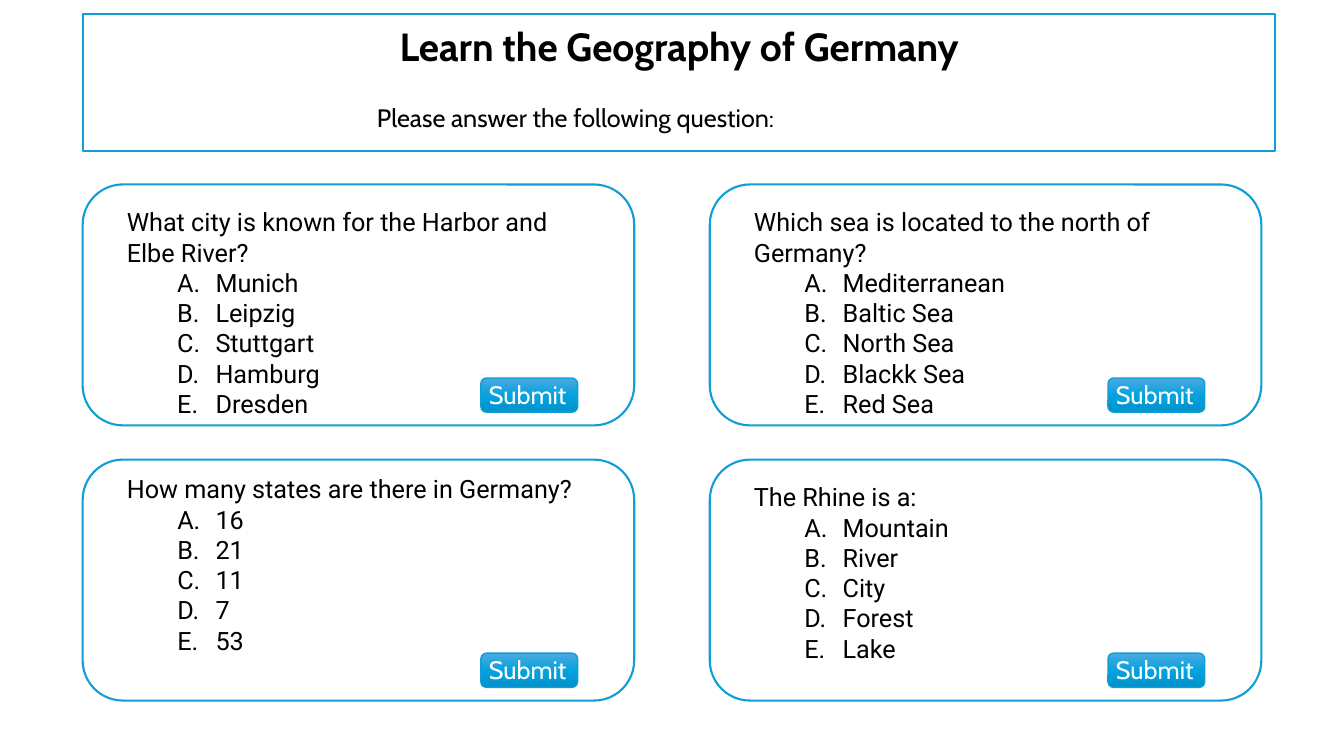
import copy
import dataclasses

import pptx
import pptx.dml.color
import pptx.enum.shapes
import pptx.enum.text
import pptx.oxml
import pptx.oxml.ns
import pptx.shapes.autoshape
import pptx.slide
import pptx.text.text
import pptx.util

RGBColor = pptx.dml.color.RGBColor
MSO_SHAPE = pptx.enum.shapes.MSO_SHAPE
BLACK = RGBColor(0x00, 0x00, 0x00)
WHITE = RGBColor(0xFF, 0xFF, 0xFF)
BLUE = RGBColor(0x0F, 0x9E, 0xD5)
BUTTON_STOPS = (
    (0.0, RGBColor(0x4C, 0xAA, 0xDF)),
    (0.5, RGBColor(0x05, 0xA2, 0xDF)),
    (1.0, RGBColor(0x00, 0x92, 0xCB)),
)
SLIDE_W = pptx.util.Inches(13.33)
SLIDE_H = pptx.util.Inches(7.5)


@dataclasses.dataclass(frozen=True)
class Box:
    """Position and size in percent of the slide's width and height."""

    x: float
    y: float
    w: float
    h: float

    def emu(self) -> tuple[int, int, int, int]:
        return (
            round(self.x * SLIDE_W / 100),
            round(self.y * SLIDE_H / 100),
            round(self.w * SLIDE_W / 100),
            round(self.h * SLIDE_H / 100),
        )

    def inside(self, card: "Box") -> "Box":
        return Box(card.x + self.x, card.y + self.y, self.w, self.h)


@dataclasses.dataclass(frozen=True)
class Question:
    col: int
    row: int
    text: str
    answers: tuple[str, ...]
    lines: int
    drop: float = 2.27
    width: float = 34.88


BANNER = Box(6.15, 1.87, 88.75, 18.13)
TITLE = Box(20.56, 2.27, 59.94, 11.73)
PROMPT = Box(27.31, 12.93, 45.84, 5.33)
CARD = Box(6.15, 24.4, 41.04, 31.87)
COL_STEP, ROW_STEP = 46.66, 36.4
BUTTON = Box(29.63, 25.6, 7.2, 4.53)
BUTTON_LABEL = Box(29.48, 25.07, 9, 5.33)

QUESTIONS = (
    Question(0, 0, "What city is known for the Harbor and Elbe River?",
             ("Munich", "Leipzig", "Stuttgart", "Hamburg", "Dresden"), 7),
    Question(0, 1, "How many states are there in Germany?",
             ("16", "21", "11", "7", "53"), 6, drop=1.2, width=35.93),
    Question(1, 0, "Which sea is located to the north of Germany?",
             ("Mediterranean", "Baltic Sea", "North Sea", "Blackk Sea", "Red Sea"), 8),
    Question(1, 1, "The Rhine is a:",
             ("Mountain", "River", "City", "Forest", "Lake"), 6),
)


def format_runs(p: pptx.text.text._Paragraph, font: str, color: RGBColor,
                size: int = 18, bold: bool = False) -> None:
    for r in p.runs:
        r.font.name = font
        r.font.size = pptx.util.Pt(size)
        r.font.bold = bold
        r.font.color.rgb = color


def add_panel(s: pptx.slide.Slide, kind: MSO_SHAPE, box: Box,
              weight: float = 1.5) -> pptx.shapes.autoshape.Shape:
    sp = s.shapes.add_shape(kind, *box.emu())
    sp.shadow.inherit = False
    sp.fill.solid()
    sp.fill.fore_color.rgb = WHITE
    sp.line.color.rgb = BLUE
    sp.line.width = pptx.util.Pt(weight)
    return sp


def add_text(s: pptx.slide.Slide, box: Box, text: str, font: str,
             color: RGBColor = BLACK) -> pptx.text.text.TextFrame:
    tf = s.shapes.add_textbox(*box.emu()).text_frame
    tf.word_wrap = True
    tf.text = text
    format_runs(tf.paragraphs[0], font, color)
    return tf


def add_answer(tf: pptx.text.text.TextFrame, answer: str) -> None:
    p = tf.add_paragraph()
    p.text = answer
    p.level = 1
    pPr = p._p.get_or_add_pPr()
    pPr.set("marL", str(pptx.util.Inches(0.88)))
    pPr.set("indent", str(pptx.util.Inches(-0.38)))
    bullet = pptx.oxml.parse_xml(
        f'<a:buAutoNum {pptx.oxml.ns.nsdecls("a")} type="alphaUcPeriod"/>')
    pPr.append(bullet)
    format_runs(p, "Roboto", BLACK)


def add_button(s: pptx.slide.Slide, card: Box) -> None:
    sp = add_panel(s, MSO_SHAPE.ROUNDED_RECTANGLE, BUTTON.inside(card), 1)
    sp.fill.gradient()
    sp.fill.gradient_angle = 270
    stops = sp.element.spPr.find(f'.//{pptx.oxml.ns.qn("a:gsLst")}')
    stops.append(copy.deepcopy(stops[-1]))
    for stop, (position, color) in zip(sp.fill.gradient_stops, BUTTON_STOPS):
        stop.position = position
        stop.color.rgb = color
    add_text(s, BUTTON_LABEL.inside(card), "Submit", "Cabin", WHITE)


def add_question(s: pptx.slide.Slide, q: Question) -> None:
    card = Box(CARD.x + q.col * COL_STEP, CARD.y + q.row * ROW_STEP, CARD.w, CARD.h)
    add_panel(s, MSO_SHAPE.ROUNDED_RECTANGLE, card)
    box = Box(2.55, q.drop, q.width, 1.6 + 4 * q.lines)
    tf = add_text(s, box.inside(card), q.text, "Roboto")
    for answer in q.answers:
        add_answer(tf, answer)
    add_button(s, card)


def add_header(s: pptx.slide.Slide) -> None:
    banner = add_panel(s, MSO_SHAPE.RECTANGLE, BANNER)
    title = s.shapes.title
    banner.element.addnext(title.element)
    title.left, title.top, title.width, title.height = TITLE.emu()
    tf = title.text_frame
    tf.text = "Learn the Geography of Germany"
    tf.word_wrap = True
    tf.auto_size = pptx.enum.text.MSO_AUTO_SIZE.NONE
    tf.vertical_anchor = pptx.enum.text.MSO_ANCHOR.TOP
    p = tf.paragraphs[0]
    p.alignment = pptx.enum.text.PP_ALIGN.CENTER
    format_runs(p, "Cabin", BLACK, size=28, bold=True)
    add_text(s, PROMPT, "Please answer the following question:", "Cabin")


def main() -> None:
    prs = pptx.Presentation()
    prs.slide_width, prs.slide_height = SLIDE_W, SLIDE_H
    s = prs.slides.add_slide(prs.slide_layouts[5])
    add_header(s)
    for q in QUESTIONS:
        add_question(s, q)
    prs.save("out.pptx")


if __name__ == "__main__":
    main()
